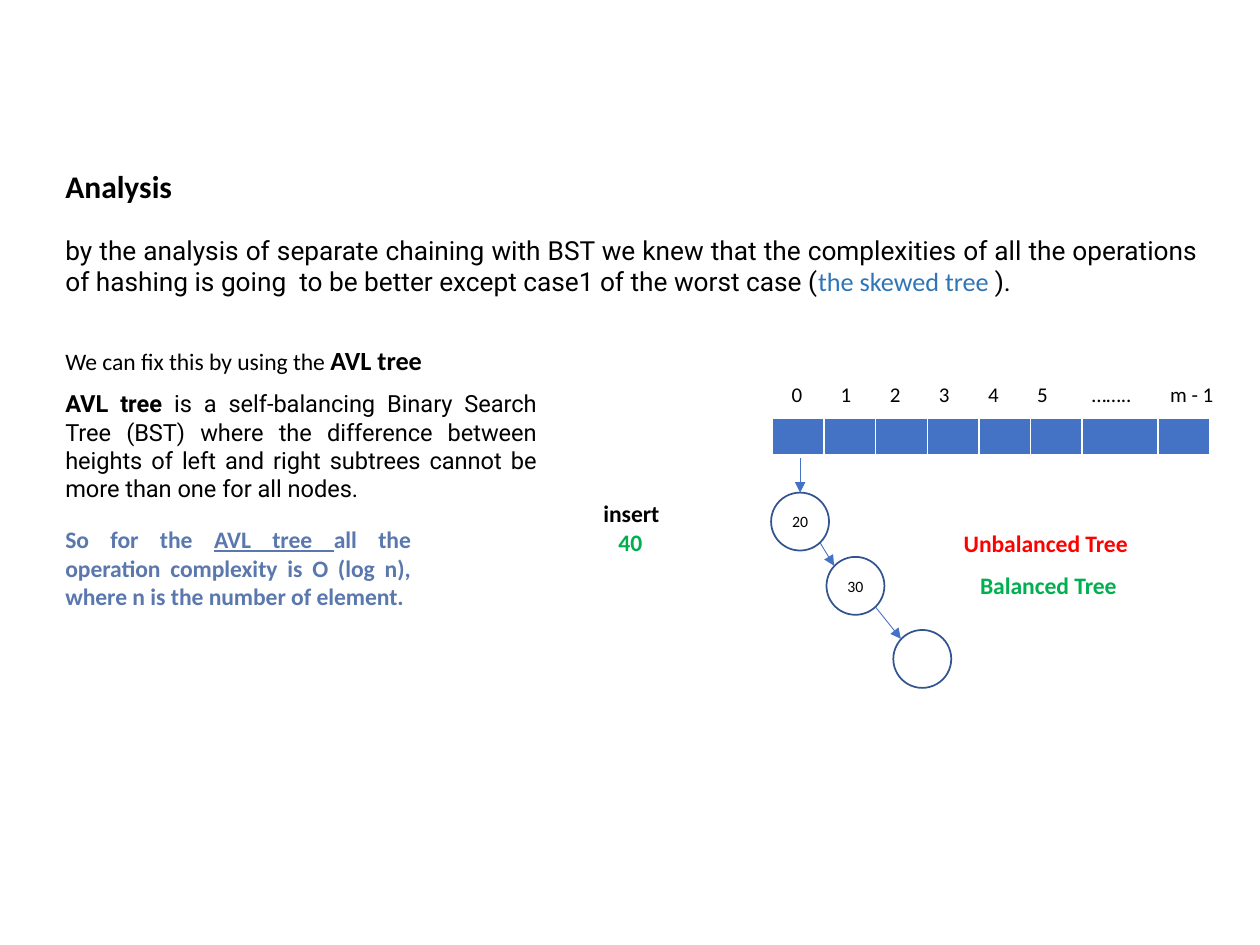
from lxml import etree
from pptx import Presentation
from pptx import util as u
from pptx.dml.color import RGBColor
from pptx.enum import shapes, text
from pptx.oxml import ns

BLACK = RGBColor(0x00, 0x00, 0x00)
WHITE = RGBColor(0xFF, 0xFF, 0xFF)
BLUE = RGBColor(0x44, 0x72, 0xC4)
NAVY = RGBColor(0x32, 0x54, 0x91)
SKY = RGBColor(0x2E, 0x75, 0xB6)
SLATE = RGBColor(0x5A, 0x78, 0xAD)
RED = RGBColor(0xFF, 0x00, 0x00)
GREEN = RGBColor(0x00, 0xB0, 0x50)
LEFT = text.PP_ALIGN.LEFT
JUST = text.PP_ALIGN.JUSTIFY
MID = text.PP_ALIGN.CENTER


class Page:
    face = "Calibri"
    size = 13.5
    cols = 100
    rows = 75
    node = 4.6

    def __init__(self, deck):
        self.slide = deck.slides.add_slide(deck.slide_layouts[6])
        self.items = self.slide.shapes
        self.wide = deck.slide_width / self.cols
        self.high = deck.slide_height / self.rows

    def x(self, col):
        return u.Emu(round(col * self.wide))

    def y(self, row):
        return u.Emu(round(row * self.high))

    def box(self, col, row, wide, high):
        return self.x(col), self.y(row), self.x(wide), self.y(high)

    def font(self, para, size, color, bold=False, face=None):
        font = para.font
        font.name = face or self.face
        font.size = u.Pt(size)
        font.bold = bold
        font.color.rgb = color

    def label(self, place, runs, size=None, color=BLACK, bold=False, face=None, align=LEFT):
        frame = self.items.add_textbox(*self.box(*place)).text_frame
        frame.word_wrap = True
        para = frame.paragraphs[0]
        para.alignment = align
        self.font(para, size or self.size, color, bold, face)
        for words, style in runs:
            run = para.add_run()
            run.text = words
            for key, value in style.items():
                if key == "color":
                    run.font.color.rgb = value
                else:
                    setattr(run.font, key, value)

    def ring(self, col, row, label=""):
        place = self.box(col, row, self.node, self.node)
        ring = self.items.add_shape(shapes.MSO_SHAPE.OVAL, *place)
        ring.shadow.inherit = False
        ring.fill.solid()
        ring.fill.fore_color.rgb = WHITE
        ring.line.color.rgb = NAVY
        ring.line.width = u.Pt(1)
        if label:
            frame = ring.text_frame
            frame.margin_left = frame.margin_right = 0
            frame.vertical_anchor = text.MSO_ANCHOR.MIDDLE
            para = frame.paragraphs[0]
            para.text = label
            para.alignment = MID
            self.font(para, 9, BLACK)

    def arrow(self, col, row, end, foot):
        link = self.items.add_connector(
            shapes.MSO_CONNECTOR.STRAIGHT,
            self.x(col), self.y(row), self.x(end), self.y(foot))
        link.line.color.rgb = BLUE
        link.line.width = u.Pt(0.5)
        line = link.line._get_or_add_ln()
        etree.SubElement(line, ns.qn("a:tailEnd"), type="triangle")
        etree.SubElement(link._element.spPr, ns.qn("a:effectLst"))

    def edge(self, cell):
        props = cell._tc.get_or_add_tcPr()
        for side, width in zip("LRTB", (1, 1, 1, 3)):
            line = etree.SubElement(props, ns.qn("a:ln" + side), w=str(u.Pt(width)))
            fill = etree.SubElement(line, ns.qn("a:solidFill"))
            etree.SubElement(fill, ns.qn("a:srgbClr"), val=str(WHITE))

    def strip(self, col, row, widths, labels=None):
        place = self.box(col, row, sum(widths), 3)
        table = self.items.add_table(1, len(widths), *place).table
        table.first_row = table.horz_banding = False
        for i, width in enumerate(widths):
            table.columns[i].width = self.x(width)
            cell = table.cell(0, i)
            side, top = (0.07, 0.04) if labels else (0, 0)
            cell.margin_left = cell.margin_right = u.Inches(side)
            cell.margin_top = cell.margin_bottom = u.Inches(top)
            self.edge(cell)
            para = cell.text_frame.paragraphs[0]
            if labels:
                cell.fill.background()
                para.text = labels[i]
                para.alignment = MID
            else:
                cell.fill.solid()
                cell.fill.fore_color.rgb = BLUE
            self.font(para, 12, BLACK)


def main():
    deck = Presentation()
    deck.slide_width, deck.slide_height = u.Inches(10), u.Inches(7.5)
    page = Page(deck)
    edge = 4.2

    page.label((edge, 18.1, 91.9, 6.1), [
        ("by the analysis of separate chaining with BST we knew that the complexities "
         "of all the operations of hashing is going  to be better except case1 of "
         "the worst case (", {}),
        ("the skewed tree ", {"name": page.face, "color": SKY}),
        (").", {}),
    ], size=15, face="Roboto", align=JUST)
    page.label((edge, 12.8, 39.1, 4), [("Analysis", {})], size=18, bold=True)
    page.label((edge, 41.2, 29.4, 7.8), [
        ("So for the ", {}),
        ("AVL tree ", {"underline": True}),
        ("all the operation complexity is O (log n), where n is the number of element.", {}),
    ], color=SLATE, bold=True, align=JUST)
    page.label((edge, 26.8, 91.8, 3.5), [
        ("We can fix this by using the ", {}),
        ("AVL tree", {"size": u.Pt(15), "bold": True}),
    ])

    page.ring(70.9, 50)
    page.arrow(69.5, 48.2, 71.5, 50.7)
    page.ring(65.6, 44.2, "30")
    page.arrow(65.1, 43.1, 66.2, 44.9)
    page.ring(61.2, 39.1, "20")
    page.arrow(63.5, 36.2, 63.5, 39.1)

    page.strip(61.3, 33.2, [4.1] * 6 + [6, 4.1])
    page.strip(61.3, 30, [3.9] * 6 + [7.1, 5.6],
               [str(i) for i in range(6)] + ["……..", "m - 1"])

    page.label((edge, 30.4, 39.4, 10.1), [
        ("AVL tree ", {"bold": True}),
        ("is a self-balancing Binary Search Tree (BST) where the difference between "
         "heights of left and right subtrees cannot be more than one for all nodes.", {}),
    ], face="Roboto", align=JUST)
    for col, row, wide, words, color in (
        (48.1, 41.4, 4.6, "40", GREEN),
        (46.9, 39.1, 8.3, "insert", BLACK),
        (75.5, 41.5, 16.2, "Unbalanced Tree", RED),
        (76.8, 44.8, 14.9, "Balanced Tree", GREEN),
    ):
        page.label((col, row, wide, 3.3), [(words, {})], color=color, bold=True)

    deck.save("out.pptx")


if __name__ == "__main__":
    main()
